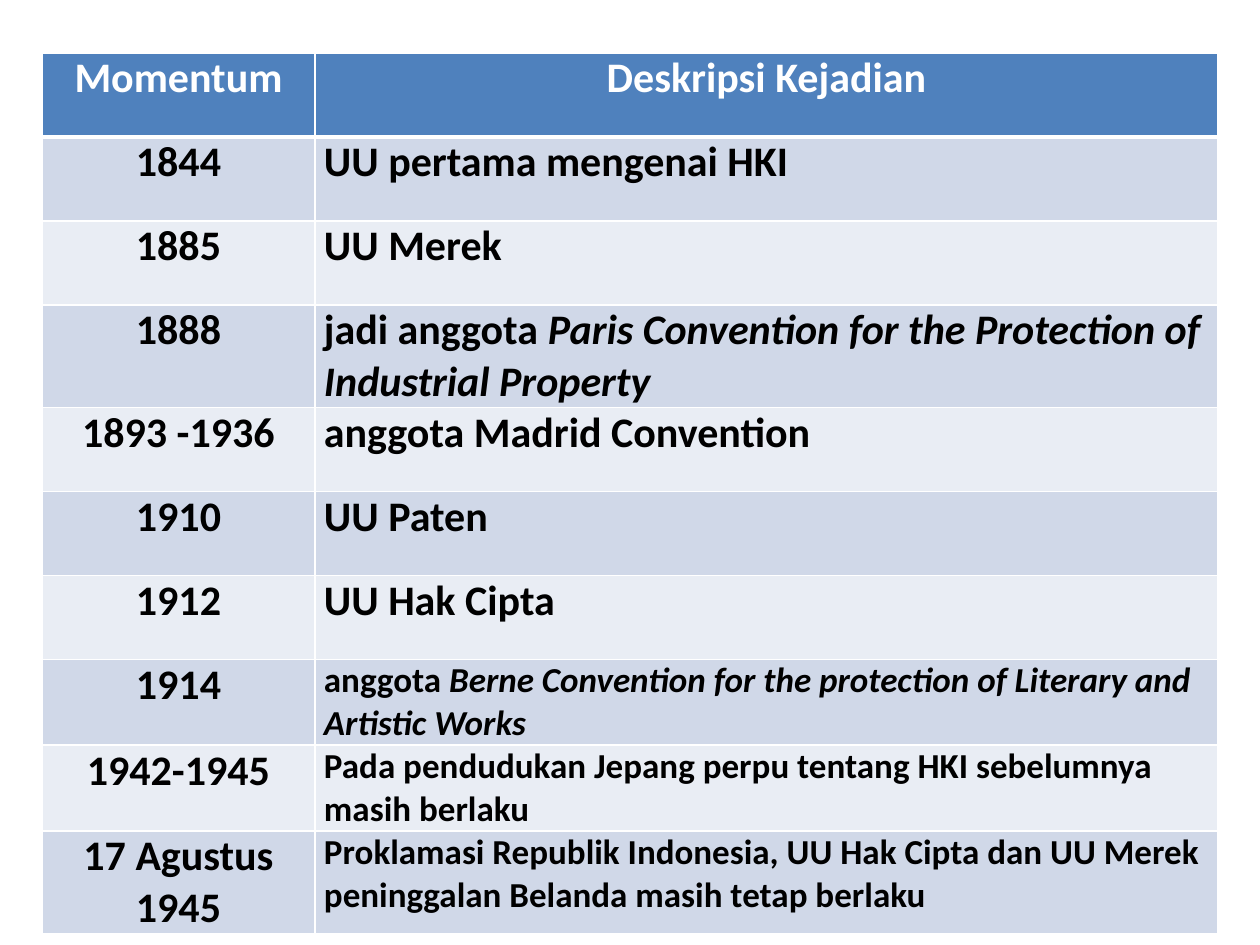
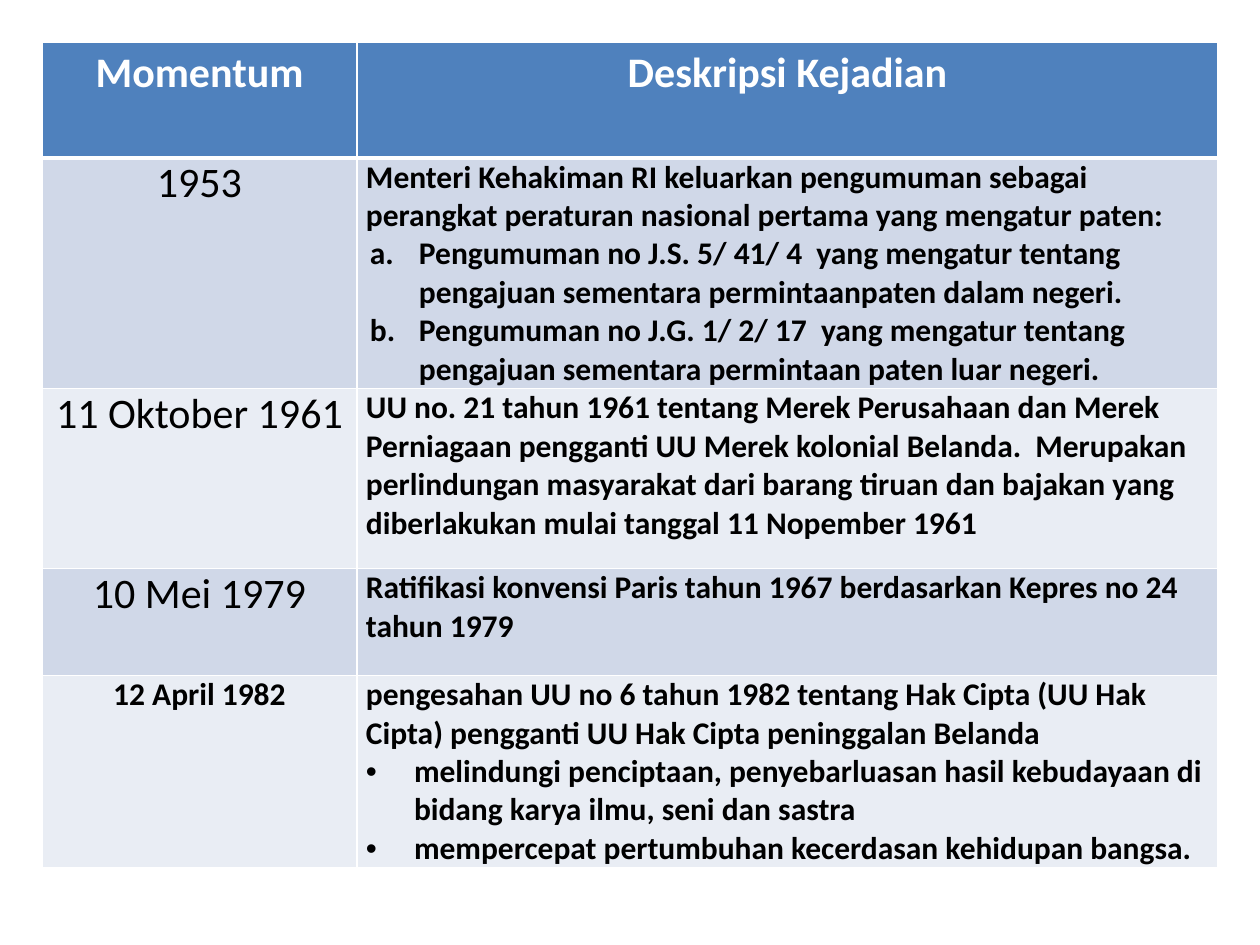
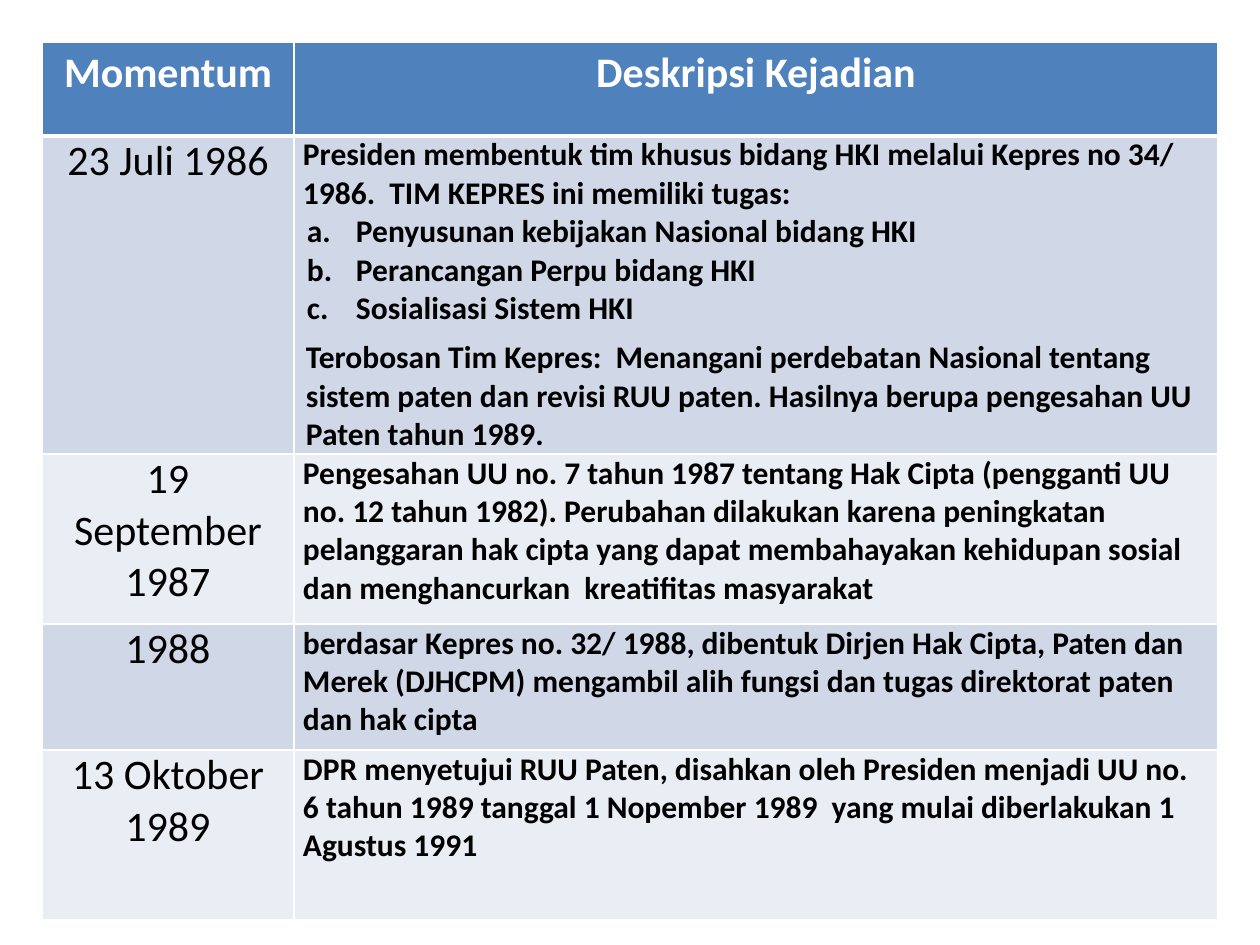
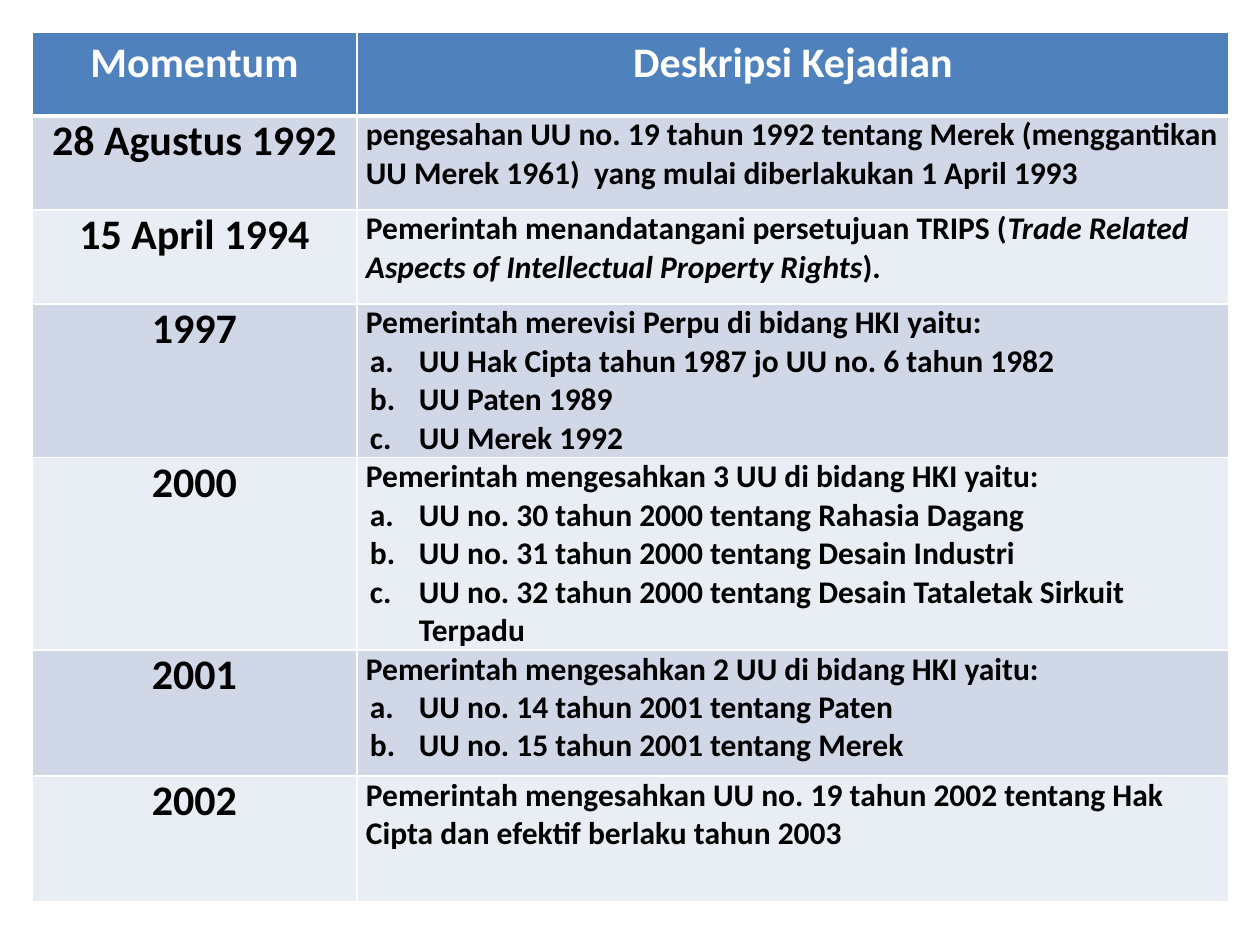
"""Builds four slides of tables on the history of intellectual property law in Indonesia."""
from lxml import etree
from pptx import Presentation
from pptx.dml.color import RGBColor
from pptx.enum.text import PP_ALIGN
from pptx.oxml.ns import qn
from pptx.util import Emu, Pt

CENTER, LEFT = PP_ALIGN.CENTER, PP_ALIGN.LEFT
LEAD, LETTER, BULLET, NOTE = "lead", "letter", "bullet", "note"
LISTS = (LETTER, BULLET)
INDENTS = {LEAD: (0, 0), LETTER: (53, -49), BULLET: (48, -48), NOTE: (3, 0)}
FONT = "Calibri"
WHITE, BLACK, BLUE = "FFFFFF", "000000", "4F81BD"
BANDS = ("D0D8E8", "E9EDF4")
HEADINGS = ("Momentum", "Deskripsi Kejadian")
HEADING_SIZE = 24
GAP = 6
THIN, THICK = 1, 3
TIGHT, ROOMY = (9, 0), (13, 6)

# Each row: height, moment, then paragraphs of (style, spans); every second span is italic.
TABLES = [
    {
        "place": (42, 53), "columns": (273, 903), "heading_height": 84, "heading_inset": TIGHT,
        "moment_fonts": [(24, True)] * 9, "text_sizes": [24] * 6 + [20] * 3,
        "rows": [
            (84, "1844", [(LEAD, "UU pertama mengenai HKI")]),
            (84, "1885", [(LEAD, "UU Merek")]),
            (84, "1888", [(LEAD, "jadi anggota ",
                           "Paris Convention for the Protection of Industrial Property")]),
            (84, "1893 -1936", [(LEAD, "anggota Madrid Convention")]),
            (84, "1910", [(LEAD, "UU Paten")]),
            (84, "1912", [(LEAD, "UU Hak Cipta")]),
            (84, "1914", [(LEAD, "anggota ",
                           "Berne Convention for the protection of Literary and Artistic Works")]),
            (84, "1942-1945", [(LEAD, "Pada pendudukan Jepang perpu tentang HKI sebelumnya "
                                      "masih berlaku")]),
            (84, "17 Agustus 1945", [(LEAD, "Proklamasi Republik Indonesia, UU Hak Cipta dan UU "
                                            "Merek peninggalan Belanda masih tetap berlaku")]),
        ],
    },
    {
        "place": (42, 42), "columns": (315, 861), "heading_height": 116, "heading_inset": ROOMY,
        "moment_fonts": [(24, False)] * 3 + [(18, True)], "text_sizes": [18] * 4,
        "rows": [
            (180, "1953", [
                (LEAD, "Menteri Kehakiman RI keluarkan pengumuman sebagai perangkat peraturan "
                       "nasional pertama yang mengatur paten:"),
                (LETTER, "a. \tPengumuman no J.S. 5/ 41/ 4  yang mengatur tentang pengajuan "
                         "sementara permintaanpaten dalam negeri."),
                (LETTER, "b. \tPengumuman no J.G. 1/ 2/ 17  yang mengatur tentang pengajuan "
                         "sementara permintaan paten luar negeri.")]),
            (180, "11 Oktober 1961", [
                (LEAD, "UU no. 21 tahun 1961 tentang Merek Perusahaan dan Merek Perniagaan "
                       "pengganti UU Merek kolonial Belanda.  Merupakan perlindungan masyarakat "
                       "dari barang tiruan dan bajakan yang diberlakukan mulai tanggal "
                       "11 Nopember 1961")]),
            (107, "10 Mei 1979", [
                (LEAD, "Ratifikasi konvensi Paris tahun 1967 berdasarkan Kepres no 24 "
                       "tahun 1979")]),
            (180, "12 April 1982", [
                (LEAD, "pengesahan UU no 6 tahun 1982 tentang Hak Cipta (UU Hak Cipta) pengganti "
                       "UU Hak Cipta peninggalan Belanda"),
                (BULLET, "melindungi penciptaan, penyebarluasan hasil kebudayaan di bidang karya "
                         "ilmu, seni dan sastra"),
                (BULLET, "mempercepat pertumbuhan kecerdasan kehidupan bangsa.")]),
        ],
    },
    {
        "place": (42, 42), "columns": (252, 924), "heading_height": 94, "heading_inset": ROOMY,
        "moment_fonts": [(24, False)] * 4, "text_sizes": [18] * 4,
        "rows": [
            (170, "23 Juli 1986", [
                (LEAD, "Presiden membentuk tim khusus bidang HKI melalui Kepres no 34/ 1986.  "
                       "TIM KEPRES ini memiliki tugas:"),
                (LETTER, "a. \tPenyusunan kebijakan Nasional bidang HKI"),
                (LETTER, "b. \tPerancangan Perpu bidang HKI"),
                (LETTER, "c. \tSosialisasi Sistem HKI"),
                (NOTE, "Terobosan Tim Kepres:  Menangani perdebatan Nasional tentang sistem "
                       "paten dan revisi RUU paten. Hasilnya berupa pengesahan UU Paten "
                       "tahun 1989.")]),
            (170, "19 September 1987", [
                (LEAD, "Pengesahan UU no. 7 tahun 1987 tentang Hak Cipta (pengganti UU no. 12 "
                       "tahun 1982). Perubahan dilakukan karena peningkatan pelanggaran hak cipta "
                       "yang dapat membahayakan kehidupan sosial dan menghancurkan  kreatifitas "
                       "masyarakat")]),
            (126, "1988", [
                (LEAD, "berdasar Kepres no. 32/ 1988, dibentuk Dirjen Hak Cipta, Paten dan Merek "
                       "(DJHCPM) mengambil alih fungsi dan tugas direktorat paten dan "
                       "hak cipta")]),
            (170, "13 Oktober 1989", [
                (LEAD, "DPR menyetujui RUU Paten, disahkan oleh Presiden menjadi UU no. 6 tahun "
                       "1989 tanggal 1 Nopember 1989  yang mulai diberlakukan 1 Agustus 1991")]),
        ],
    },
    {
        "place": (32, 32), "columns": (325, 872), "heading_height": 84, "heading_inset": ROOMY,
        "moment_fonts": [(24, True)] * 6, "text_sizes": [18] * 6,
        "rows": [
            (94, "28 Agustus 1992", [
                (LEAD, "pengesahan UU no. 19 tahun 1992 tentang Merek (menggantikan UU Merek "
                       "1961)  yang mulai diberlakukan 1 April 1993")]),
            (94, "15 April 1994", [
                (LEAD, "Pemerintah menandatangani persetujuan TRIPS (",
                 "Trade Related Aspects of Intellectual Property Rights", ").")]),
            (126, "1997", [
                (LEAD, "Pemerintah merevisi Perpu di bidang HKI yaitu:"),
                (LETTER, "a. \tUU Hak Cipta tahun 1987 jo UU no. 6 tahun 1982"),
                (LETTER, "b. \tUU Paten 1989"),
                (LETTER, "c. \tUU Merek 1992")]),
            (126, "2000", [
                (LEAD, "Pemerintah mengesahkan 3 UU di bidang HKI yaitu:"),
                (LETTER, "a. \tUU no. 30 tahun 2000 tentang Rahasia Dagang"),
                (LETTER, "b. \tUU no. 31 tahun 2000 tentang Desain Industri"),
                (LETTER, "c. \tUU no. 32 tahun 2000 tentang Desain Tataletak Sirkuit Terpadu")]),
            (126, "2001", [
                (LEAD, "Pemerintah mengesahkan 2 UU di bidang HKI yaitu:"),
                (LETTER, "a. \tUU no. 14 tahun 2001 tentang Paten"),
                (LETTER, "b. \tUU no. 15 tahun 2001 tentang Merek")]),
            (126, "2002", [
                (LEAD, "Pemerintah mengesahkan UU no. 19 tahun 2002 tentang Hak Cipta dan efektif "
                       "berlaku tahun 2003")]),
        ],
    },
]


def px(pixels):
    return Emu(round(pixels * 914400 / 126))


def color(code):
    return RGBColor.from_string(code)


def draw_borders(cell, top, bottom):
    properties = cell._tc.get_or_add_tcPr()
    for side, width in (("L", THIN), ("R", THIN), ("T", top), ("B", bottom)):
        line = etree.SubElement(properties, qn("a:ln" + side), w=str(Pt(width)))
        fill = etree.SubElement(line, qn("a:solidFill"))
        etree.SubElement(fill, qn("a:srgbClr"), val=WHITE)


def format_cell(cell, fill, inset, top, bottom):
    draw_borders(cell, top, bottom)
    cell.fill.solid()
    cell.fill.fore_color.rgb = color(fill)
    cell.margin_left = cell.margin_right = px(inset[0])
    cell.margin_top = cell.margin_bottom = px(inset[1])


def write_cell(cell, paragraphs, size, bold, ink, align):
    frame = cell.text_frame
    following = [style for style, *_ in paragraphs[1:]] + [None]
    for index, (style, *spans) in enumerate(paragraphs):
        para = frame.add_paragraph() if index else frame.paragraphs[0]
        para.alignment = align
        para.space_before = Pt(GAP if style == LEAD else 0)
        para.space_after = Pt(0 if following[index] in LISTS else GAP)
        margin, indent = INDENTS[style]
        properties = para._p.get_or_add_pPr()
        properties.set("marL", str(px(margin)))
        properties.set("indent", str(px(indent)))
        if style == BULLET:
            etree.SubElement(properties, qn("a:buFont"), typeface="Arial")
            etree.SubElement(properties, qn("a:buChar"), char="•")
        for number, text in enumerate(spans):
            span = para.add_run()
            span.text = text
            span.font.name = FONT
            span.font.size = Pt(size)
            span.font.bold = bold
            span.font.italic = number % 2 == 1
            span.font.color.rgb = color(ink)


def add_history(page, content):
    rows, columns = content["rows"], content["columns"]
    heights = [content["heading_height"]] + [height for height, *_ in rows]
    left, top = content["place"]
    table = page.shapes.add_table(len(heights), len(columns), px(left), px(top),
                                  px(sum(columns)), px(sum(heights))).table
    for column, width in zip(table.columns, columns):
        column.width = px(width)
    for row, height in zip(table.rows, heights):
        row.height = px(height)
    for cell, heading in zip(table.rows[0].cells, HEADINGS):
        format_cell(cell, BLUE, content["heading_inset"], THIN, THICK)
        write_cell(cell, [(LEAD, heading)], HEADING_SIZE, True, WHITE, CENTER)
    for index, (_, moment, paragraphs) in enumerate(rows):
        moment_cell, text_cell = table.rows[index + 1].cells
        for cell in (moment_cell, text_cell):
            format_cell(cell, BANDS[index % 2], TIGHT, THIN if index else THICK, THIN)
        size, bold = content["moment_fonts"][index]
        write_cell(moment_cell, [(LEAD, moment)], size, bold, BLACK, CENTER)
        write_cell(text_cell, paragraphs, content["text_sizes"][index], True, BLACK, LEFT)


deck = Presentation()
deck.slide_width, deck.slide_height = px(1260), px(945)
for content in TABLES:
    add_history(deck.slides.add_slide(deck.slide_layouts[6]), content)
deck.save("out.pptx")
